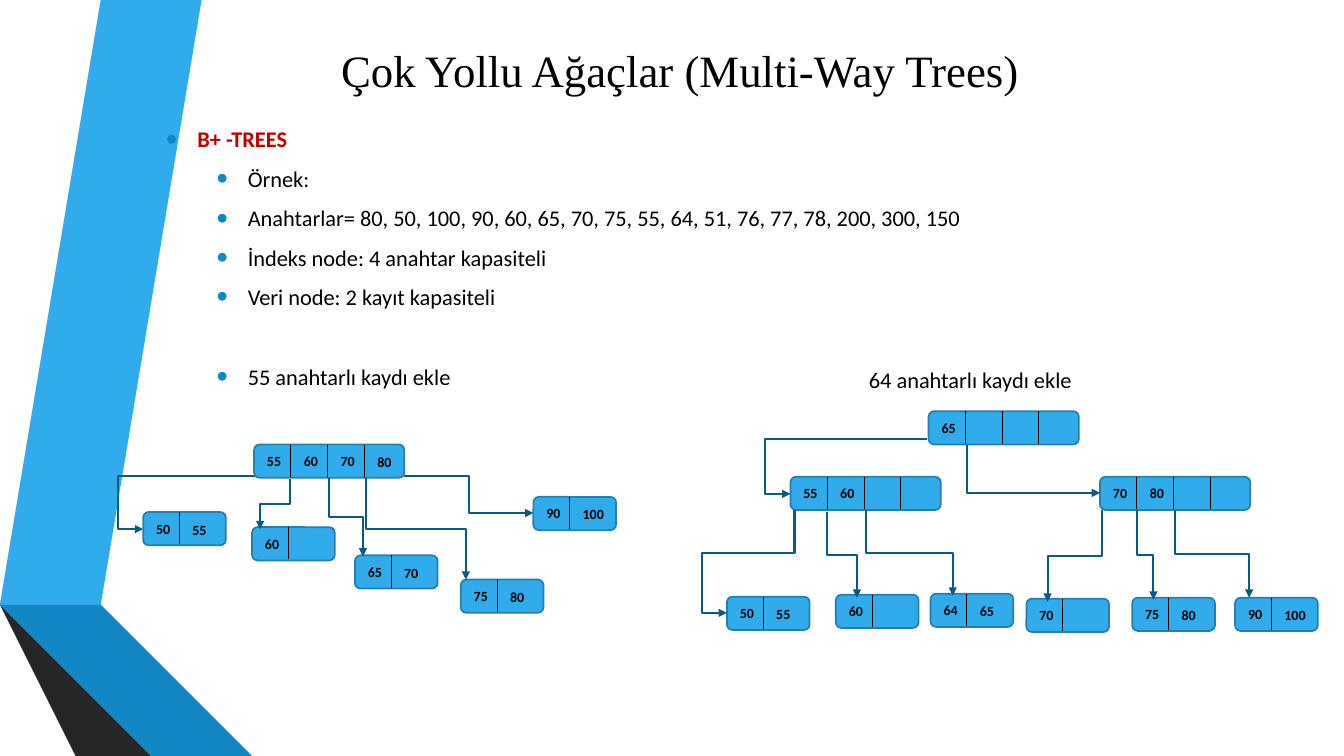
from lxml import etree
from pptx import Presentation
from pptx import util as u
from pptx.dml.color import RGBColor
from pptx.enum import shapes, text
from pptx.oxml.ns import qn

COLORS = {
    "sky": "30ACEC", "blue": "1287C3", "navy": "0C5A82", "edge": "247FAF",
    "gray": "595959", "dark_gray": "404040", "charcoal": "262626",
    "black": "000000", "red": "C00000",
}
TITLE_FONT = {"name": "Times New Roman", "size": u.Pt(32), "bold": False}
BODY_FONT = {"name": "Calibri", "size": u.Pt(16), "bold": False}
HEADING_FONT = {**BODY_FONT, "bold": True}
KEY_FONT = {**HEADING_FONT, "size": u.Pt(10)}
BODY_PARAGRAPH = {"alignment": text.PP_ALIGN.JUSTIFY, "line_spacing": 1.47}

RIBBONS = [
    ("sky", [(0.5, 5.78), (0.77, 5.83), (1.73, 0), (1.45, 0)]),
    ("gray", [(1.39, 0), (1.11, 0), (0.16, 5.73), (0.44, 5.77)]),
    ("charcoal", [(0.16, 5.73), (1.45, 7.5), (1.51, 7.5)]),
    ("navy", [(0.5, 5.79), (2.08, 7.5), (2.14, 7.5)]),
    ("blue", [(0.5, 5.79), (2.14, 7.5), (2.83, 7.5), (0.77, 5.83), (0.5, 5.78)]),
    ("dark_gray", [(2.02, 7.5), (0.48, 5.83), (0.43, 5.78), (0.44, 5.77),
                   (0.16, 5.73), (1.51, 7.5)]),
]
BULLETS = [
    "Örnek:",
    "Anahtarlar= 80, 50, 100, 90, 60, 65, 70, 75, 55, 64, 51, 76, 77, 78, 200, 300, 150",
    "İndeks node: 4 anahtar kapasiteli",
    "Veri node: 2 kayıt kapasiteli",
    "55 anahtarlı kaydı ekle",
]
# capacity -> (node width, cell width)
NODE_SIZES = {4: (1.49, 0.365), 2: (0.82, 0.36)}
# left, top, capacity, keys
NODES = [
    (2.52, 4.41, 4, "55 60 70 80"),
    (1.42, 5.08, 2, "50 55"),
    (2.5, 5.23, 2, "60"),
    (3.52, 5.51, 2, "65 70"),
    (4.57, 5.75, 2, "75 80"),
    (5.29, 4.93, 2, "90 100"),
    (9.21, 4.08, 4, "65"),
    (7.84, 4.73, 4, "55 60"),
    (10.91, 4.73, 4, "70 80"),
    (7.21, 5.92, 2, "50 55"),
    (8.29, 5.9, 2, "60"),
    (9.23, 5.89, 2, "64 65"),
    (10.18, 5.94, 2, "70"),
    (11.23, 5.93, 2, "75 80"),
    (12.25, 5.93, 2, "90 100"),
]
# start, end, bend positions as shares of the run
SIDE_LINKS = [
    ((2.53, 4.72), (1.42, 5.25), [1.224]),
    ((4.01, 4.72), (5.29, 5.09), [0.5]),
    ((9.19, 4.36), (7.84, 4.9), [1.185]),
    ((9.59, 4.41), (10.91, 4.89), [0]),
]
DOWN_LINKS = [
    ((2.88, 4.75), (2.58, 5.25), [0.5]),
    ((3.26, 4.74), (3.6, 5.52), [0.5]),
    ((3.63, 4.74), (4.62, 5.75), [0.5]),
    ((7.88, 5.06), (7.21, 6.08), [0.42, 1.372]),
    ((8.2, 5.08), (8.5, 5.93), [0.5]),
    ((8.59, 5.06), (9.45, 5.91), [0.5]),
    ((10.93, 5.06), (10.39, 5.97), [0.5]),
    ((11.28, 5.06), (11.44, 5.95), [0.5]),
    ((11.65, 5.06), (12.39, 5.93), [0.5]),
]


def rgb(color):
    return RGBColor.from_string(COLORS[color])


def apply(target, values):
    for name, value in values.items():
        setattr(target, name, value)


def paint(shape, fill):
    shape.shadow.inherit = False
    shape.fill.solid()
    shape.fill.fore_color.rgb = rgb(fill)


def write(paragraph, words, font, color="black"):
    run = paragraph.add_run()
    run.text = words
    apply(run.font, font)
    run.font.color.rgb = rgb(color)


def add_frame(slide, left, top, width, height, anchor=text.MSO_ANCHOR.TOP):
    box = slide.shapes.add_textbox(*map(u.Inches, (left, top, width, height)))
    apply(box.text_frame, {"word_wrap": True, "vertical_anchor": anchor})
    return box.text_frame


def add_bullet(paragraph, indent):
    props = paragraph._p.get_or_add_pPr()
    props.set("marL", str(u.Inches(indent)))
    props.set("indent", str(u.Inches(-0.31)))
    color = etree.SubElement(props, qn("a:buClr"))
    etree.SubElement(color, qn("a:srgbClr"), val=COLORS["blue"])
    etree.SubElement(props, qn("a:buSzPct"), val="145000")
    etree.SubElement(props, qn("a:buFont"), typeface="Arial")
    etree.SubElement(props, qn("a:buChar"), char="•")


def add_body(slide):
    frame = add_frame(slide, 1.55, 1.07, 10.87, 3.23)
    heading = frame.paragraphs[0]
    apply(heading, BODY_PARAGRAPH)
    add_bullet(heading, 0.31)
    write(heading, "B+ -TREES", HEADING_FONT, "red")
    for words in BULLETS:
        item = frame.add_paragraph()
        apply(item, {**BODY_PARAGRAPH, "level": 1})
        if words == BULLETS[-1]:
            item.space_before = u.Pt(28.7)
        add_bullet(item, 0.81)
        write(item, words, BODY_FONT)


def add_ribbon(slide, color, points):
    builder = slide.shapes.build_freeform(*points[0], scale=u.Inches(1))
    builder.add_line_segments(points[1:], close=True)
    ribbon = builder.convert_to_shape()
    paint(ribbon, color)
    ribbon.line.fill.background()


def add_line(slide, kind, start, end, color, weight):
    line = slide.shapes.add_connector(kind, *map(u.Inches, (*start, *end)))
    line.line.color.rgb = rgb(color)
    line.line.width = u.Pt(weight)
    etree.SubElement(line._element.spPr, qn("a:effectLst"))
    return line


def add_node(slide, left, top, capacity, keys):
    width, cell = NODE_SIZES[capacity]
    node = slide.shapes.add_shape(shapes.MSO_SHAPE.ROUNDED_RECTANGLE,
                                  *map(u.Inches, (left, top, width, 0.33)))
    paint(node, "sky")
    node.line.color.rgb = rgb("edge")
    node.line.width = u.Pt(1.25)
    for slot in range(1, capacity):
        x = left + slot * cell
        add_line(slide, shapes.MSO_CONNECTOR.STRAIGHT,
                 (x, top), (x, top + 0.32), "black", 0.75)
    for slot, key in enumerate(keys.split()):
        drop = 0.04 if slot == capacity - 1 else 0.03
        frame = add_frame(slide, left + 0.03 + slot * cell, top + drop,
                          0.42 if slot else 0.36, 0.27)
        write(frame.paragraphs[0], key, KEY_FONT)


def add_link(slide, start, end, bends):
    """Draw an elbow arrow that leaves its start sideways."""
    link = add_line(slide, shapes.MSO_CONNECTOR.ELBOW, start, end, "navy", 1.5)
    etree.SubElement(link.line._get_or_add_ln(), qn("a:tailEnd"), type="triangle")
    geometry = link._element.spPr.find(qn("a:prstGeom"))
    geometry.set("prst", f"bentConnector{len(bends) + 2}")
    guides = geometry.find(qn("a:avLst"))
    if guides is None:
        guides = etree.SubElement(geometry, qn("a:avLst"))
    for number, bend in enumerate(bends, 1):
        etree.SubElement(guides, qn("a:gd"), name=f"adj{number}",
                         fmla=f"val {round(bend * 100000)}")
    return link


def add_down_link(slide, start, end, bends):
    """Draw an elbow arrow that leaves its start downwards, as a turned one."""
    (x1, y1), (x2, y2) = start, end
    mid_x, mid_y = (x1 + x2) / 2, (y1 + y2) / 2
    rightward = x2 > x1
    reach = (y2 - y1) / 2 * (-1 if rightward else 1)
    rise = abs(x2 - x1) / 2
    link = add_link(slide, (mid_x - reach, mid_y - rise),
                    (mid_x + reach, mid_y + rise), bends)
    turn = 270 if rightward else 90
    link._element.spPr.find(qn("a:xfrm")).set("rot", str(turn * 60000))


def main():
    deck = Presentation()
    apply(deck, {"slide_width": u.Inches(13.33), "slide_height": u.Inches(7.5)})
    slide = deck.slides.add_slide(deck.slide_layouts[6])
    for ribbon in RIBBONS:
        add_ribbon(slide, *ribbon)
    title = add_frame(slide, 1.55, 0.17, 10.39, 1.04, text.MSO_ANCHOR.MIDDLE)
    title.paragraphs[0].alignment = text.PP_ALIGN.CENTER
    write(title.paragraphs[0], "Çok Yollu Ağaçlar (Multi-Way Trees)", TITLE_FONT)
    add_body(slide)
    second_step = add_frame(slide, 8.52, 3.46, 2.5, 0.5).paragraphs[0]
    apply(second_step, BODY_PARAGRAPH)
    write(second_step, "64 anahtarlı kaydı ekle", BODY_FONT)
    for node in NODES:
        add_node(slide, *node)
    for link in SIDE_LINKS:
        add_link(slide, *link)
    for link in DOWN_LINKS:
        add_down_link(slide, *link)
    deck.save("out.pptx")


if __name__ == "__main__":
    main()
